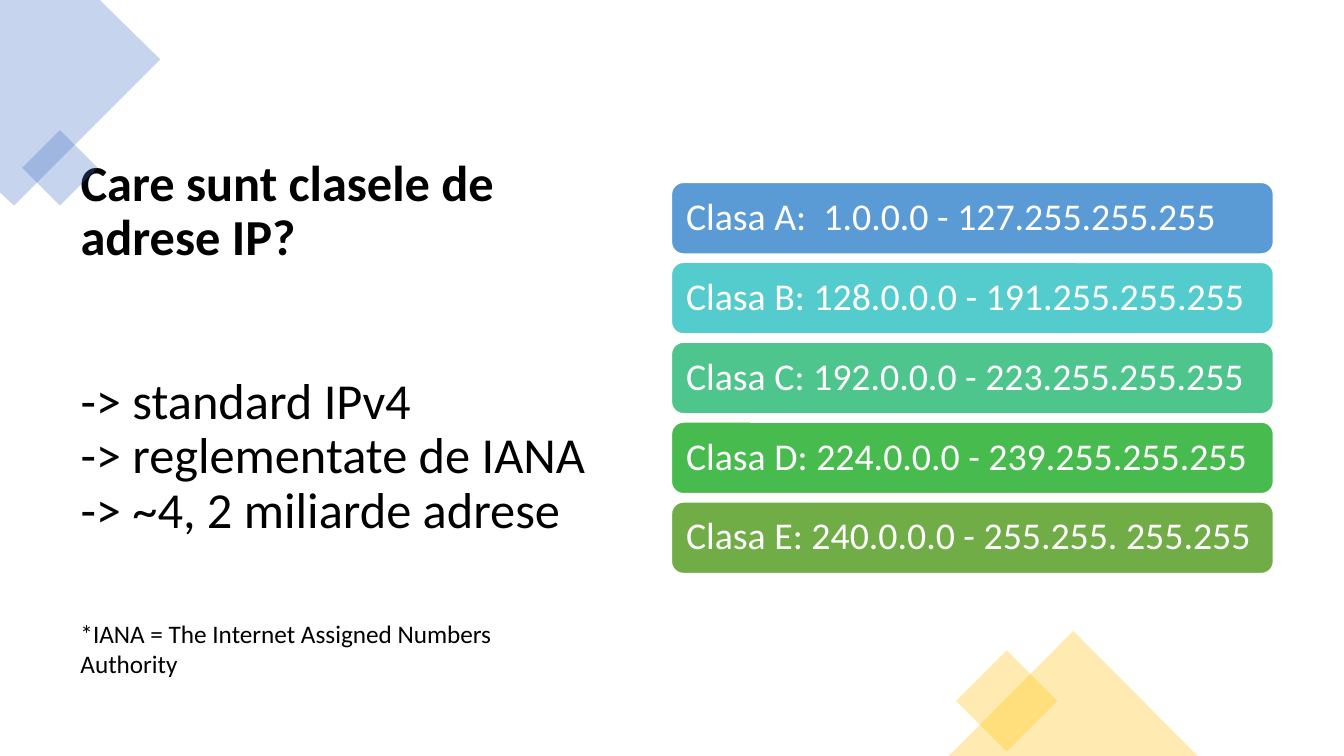
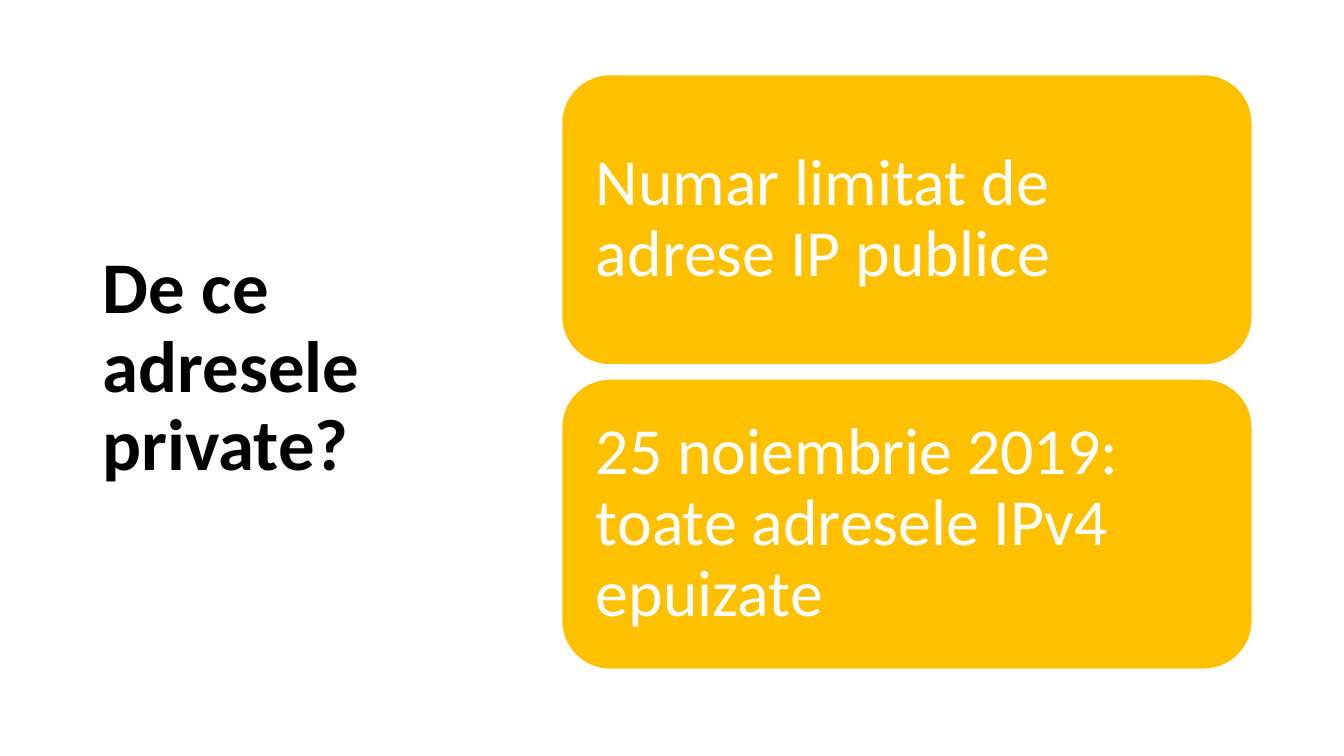
from lxml import etree
from pptx import Presentation
from pptx.dml.color import RGBColor
from pptx.enum.shapes import MSO_SHAPE
from pptx.enum.text import MSO_ANCHOR, PP_ALIGN
from pptx.oxml.ns import qn
from pptx.util import Inches, Pt

RECT = MSO_SHAPE.RECTANGLE
ROUND = MSO_SHAPE.ROUNDED_RECTANGLE
PEAK = MSO_SHAPE.ISOSCELES_TRIANGLE
MIDDLE, TOP = MSO_ANCHOR.MIDDLE, MSO_ANCHOR.TOP
LEFT = PP_ALIGN.LEFT


class Theme:
    font = "Calibri"
    black, white = "000000", "FFFFFF"
    blue, gold = "4472C4", "FFC000"
    bars = ("5B9BD5", "54CCCD", "4DC58D", "48BB4F", "70AD47")
    head, big, note, bar, card = 36, 52, 18, 27, 47
    tight = 0.9
    alpha = "30000"


def paint(shape, color, clear=False):
    shape.shadow.inherit = False
    shape.fill.solid()
    shape.fill.fore_color.rgb = RGBColor.from_string(color)
    if clear:
        shape.line.fill.background()
        tint = shape._element.spPr.find(qn("a:solidFill"))[0]
        etree.SubElement(tint, qn("a:alpha")).set("val", Theme.alpha)
    else:
        shape.line.color.rgb = RGBColor.from_string(Theme.white)
        shape.line.width = Pt(1)


def write(shape, lines, size, color=Theme.black, bold=False, inset=None,
          anchor=MIDDLE, space=Theme.tight):
    frame = shape.text_frame
    frame.word_wrap = True
    frame.vertical_anchor = anchor
    if inset:
        frame.margin_left = frame.margin_right = Inches(inset)
        frame.margin_top = frame.margin_bottom = Inches(inset)
    frame.text = "\n".join(lines)
    for para in frame.paragraphs:
        para.alignment = LEFT
        para.line_spacing = space
        font = para.font
        font.name, font.size, font.bold = Theme.font, Pt(size), bold
        font.color.rgb = RGBColor.from_string(color)
    return frame.paragraphs


deck = Presentation()
deck.slide_width, deck.slide_height = Inches(13.33), Inches(7.5)
blank = deck.slide_layouts[6]

slide = deck.slides.add_slide(blank)
shapes = slide.shapes

title = shapes.add_textbox(Inches(0.7), Inches(0.7), Inches(5.25), Inches(5.51))
lines = ["Care sunt clasele de adrese IP?", "-> standard IPv4",
         "-> reglementate de IANA", "-> ~4, 2 miliarde adrese"]
paras = write(title, lines, Theme.head)
paras[0].font.bold = True
paras[0].space_after = Pt(78)

points = [(0.99, 0), (1.59, 0.59), (0.14, 2.04), (0, 1.91)]
corner = shapes.build_freeform(0, 0)
corner.add_line_segments([(Inches(x), Inches(y)) for x, y in points])
paint(corner.convert_to_shape(), Theme.blue, True)

decor = [
    (RECT, 0.33, 1.4, 0.53, 0.53, 45, Theme.blue),
    (RECT, 9.63, 6.6, 0.71, 0.71, 45, Theme.gold),
    (PEAK, 9.41, 6.26, 2.47, 1.24, 0, Theme.gold),
]
for kind, x, y, w, h, turn, color in decor:
    piece = shapes.add_shape(kind, Inches(x), Inches(y), Inches(w), Inches(h))
    piece.rotation = turn
    paint(piece, color, True)

ranges = [
    "A:\u00a0 1.0.0.0 - 127.255.255.255",
    "B: 128.0.0.0 - 191.255.255.255",
    "C: 192.0.0.0 - 223.255.255.255",
    "D: 224.0.0.0 - 239.255.255.255",
    "E: 240.0.0.0 - 255.255. 255.255",
]
first, last = 1.81, 4.98
step = (last - first) / (len(ranges) - 1)
for i, (text, color) in enumerate(zip(ranges, Theme.bars)):
    bar = shapes.add_shape(ROUND, Inches(6.66), Inches(first + i * step),
                           Inches(5.97), Inches(0.71))
    paint(bar, color)
    write(bar, ["Clasa " + text], Theme.bar, Theme.white, inset=0.11)

note = shapes.add_textbox(Inches(0.7), Inches(6.08), Inches(5.26), Inches(0.71))
write(note, ["*IANA = The Internet Assigned Numbers Authority"], Theme.note,
      anchor=TOP, space=1.0)

slide = deck.slides.add_slide(blank)
shapes = slide.shapes

title = shapes.add_textbox(Inches(0.92), Inches(0.61), Inches(3.69), Inches(6.09))
write(title, ["De ce adresele private?"], Theme.big, bold=True)

causes = ["Numar limitat de adrese IP publice",
          "25 noiembrie 2019: toate adresele IPv4 epuizate"]
for i, text in enumerate(causes):
    card = shapes.add_shape(ROUND, Inches(5.57), Inches(0.74 + i * 3.02),
                            Inches(6.85), Inches(2.88))
    paint(card, Theme.gold)
    write(card, [text], Theme.card, Theme.white, inset=0.2)

deck.save("out.pptx")
